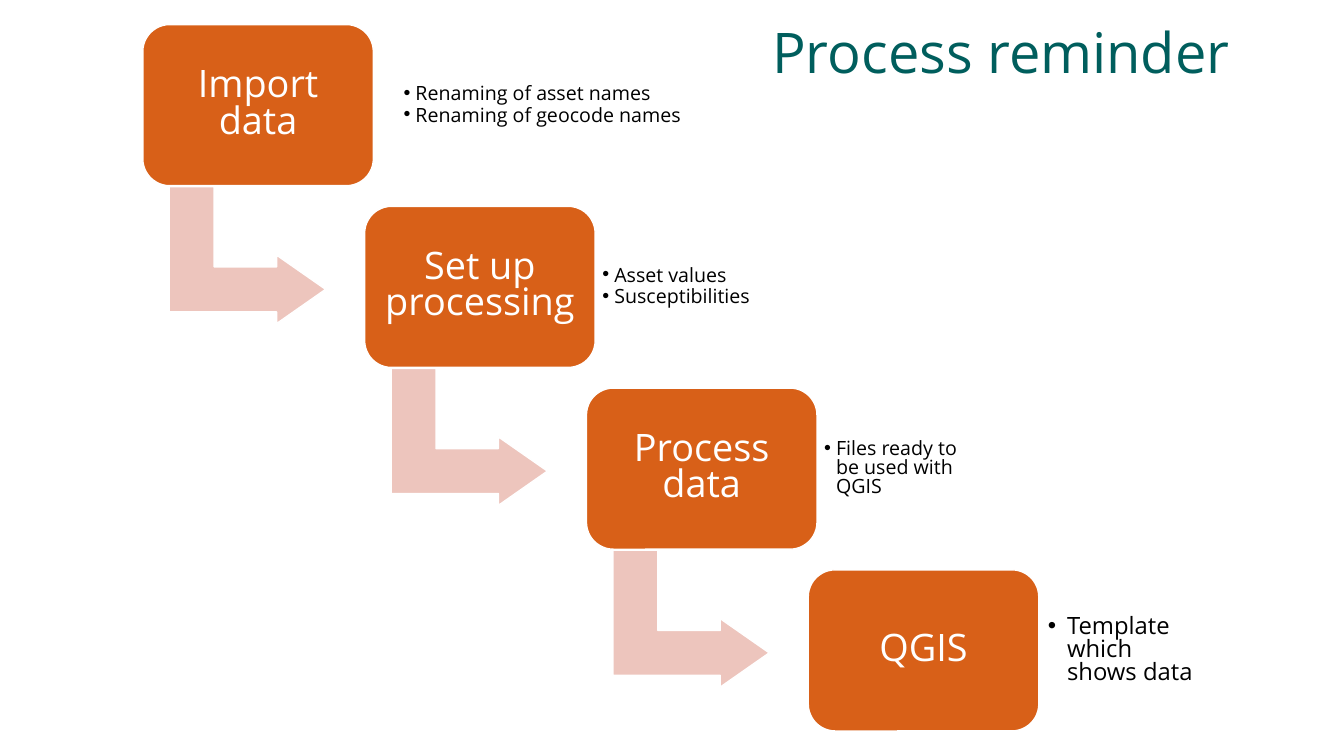
import pptx
import pptx.util
import pptx.dml.color
import pptx.enum.shapes
import pptx.enum.text
import pptx.oxml
import pptx.oxml.ns

Cm = pptx.util.Cm
Pt = pptx.util.Pt
RGBColor = pptx.dml.color.RGBColor
Kind = pptx.enum.shapes.MSO_SHAPE
Align = pptx.enum.text.PP_ALIGN
Anchor = pptx.enum.text.MSO_ANCHOR

ORANGE = RGBColor(0xD8, 0x60, 0x18)
PINK = RGBColor(0xED, 0xC5, 0xBD)
WHITE = RGBColor(0xFF, 0xFF, 0xFF)
BLACK = RGBColor(0, 0, 0)
TEAL = RGBColor(0, 0x5E, 0x5D)

FACE = "Open Sans"
BOX_W, BOX_H = 5.81, 4.06
STEP_X, STEP_Y = 5.59, 4.58
NOTE = {"gap": 0, "width": 4.24, "size": 14, "dent": 0.3, "inset": 0.18}

STEPS = [
    ("Import data", ["Renaming of asset names", "Renaming of geocode names"],
     {"gap": 0.58, "width": 7.39}),
    ("Set up processing", ["Asset values", "Susceptibilities"], {}),
    ("Process data", ["Files ready to be used with QGIS"], {}),
    ("QGIS", ["Template which shows data"],
     {"size": 17, "dent": 0.48, "inset": 0.23}),
]


def apply(item, form):
    for name, value in form.items():
        setattr(item, name, value)


def place(item, left, top, width, height):
    apply(item, {"left": Cm(left), "top": Cm(top),
                 "width": Cm(width), "height": Cm(height)})


def frame(shape, inset, anchor):
    text = shape.text_frame
    form = {"word_wrap": True, "vertical_anchor": anchor,
            "auto_size": pptx.enum.text.MSO_AUTO_SIZE.NONE}
    for side in ("left", "top", "right", "bottom"):
        form["margin_" + side] = Cm(inset)
    apply(text, form)
    return text


def write(para, text, size, color, form):
    para.text = text
    apply(para, form)
    apply(para.font, {"name": FACE, "size": Pt(size), "bold": False})
    para.font.color.rgb = color


def bullet(para, dent):
    props = para._p.get_or_add_pPr()
    props.set("marL", str(Cm(dent)))
    props.set("indent", str(-Cm(dent)))
    mark = pptx.oxml.parse_xml(
        f'<a:buChar {pptx.oxml.ns.nsdecls("a")} char="•"/>')
    props.append(mark)


def draw(slide, kind, box, fill, knobs):
    shape = slide.shapes.add_shape(kind, *(Cm(n) for n in box))
    shape.shadow.inherit = False
    shape.fill.solid()
    shape.fill.fore_color.rgb = fill
    shape.line.color.rgb = WHITE
    shape.line.width = Pt(1)
    for i, knob in enumerate(knobs):
        shape.adjustments[i] = knob
    return shape


def add_title(title, left, top, width, height):
    place(title, left, top, width, height)
    text = frame(title, 0, Anchor.TOP)
    write(text.paragraphs[0], "Process reminder", 40, TEAL,
          {"alignment": Align.LEFT, "line_spacing": Pt(46)})


def add_note(holder, lines, left, top, form):
    place(holder, left + form["gap"], top, form["width"], 3.3)
    text = frame(holder, form["inset"], Anchor.MIDDLE)
    for i, line in enumerate(lines):
        para = text.add_paragraph() if i else text.paragraphs[0]
        bullet(para, form["dent"])
        write(para, line, form["size"], BLACK,
              {"alignment": Align.LEFT, "line_spacing": 0.8,
               "space_before": Pt(0), "space_after": Pt(2)})


def add_step(slide, holder, label, lines, form, left, top, last):
    # Arrow to the next step
    if not last:
        arrow = draw(slide, Kind.BENT_UP_ARROW,
                     (left + 0.91, top + 3.84, 3.45, 3.94),
                     PINK, (0.328, 0.25, 0.358))
        arrow.rotation = 90
    # Box with its label
    box = draw(slide, Kind.ROUNDED_RECTANGLE, (left, top, BOX_W, BOX_H),
               ORANGE, (0.167,))
    text = frame(box, 0.2, Anchor.MIDDLE)
    write(text.paragraphs[0], label, 27, WHITE,
          {"alignment": Align.CENTER, "line_spacing": 0.8})
    # Notes beside the box
    add_note(holder, lines, left + BOX_W, top + 0.39, {**NOTE, **form})


def main():
    deck = pptx.Presentation()
    apply(deck, {"slide_width": Cm(33.87), "slide_height": Cm(19.05)})
    # The comparison layout has a title and four bodies
    slide = deck.slides.add_slide(deck.slide_layouts[4])
    title, *bodies = list(slide.placeholders)[:5]
    add_title(title, 19.46, 0.51, 13.06, 2.9)
    for i, (holder, step) in enumerate(zip(bodies, STEPS)):
        add_step(slide, holder, *step, 3.6 + i * STEP_X, 0.62 + i * STEP_Y,
                 i == len(STEPS) - 1)
    deck.save("out.pptx")


if __name__ == "__main__":
    main()
